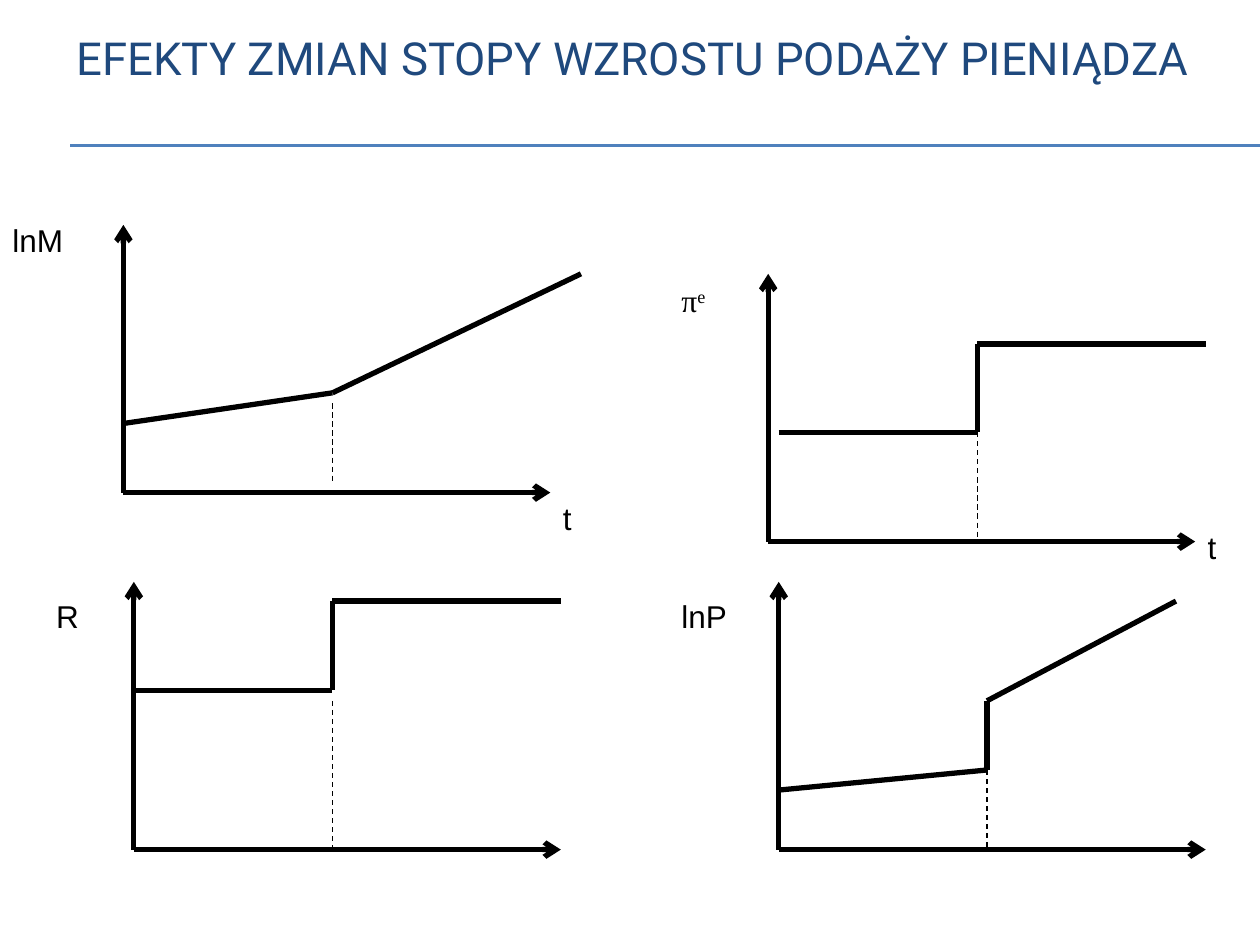
from dataclasses import dataclass
from itertools import pairwise

from lxml.etree import SubElement
from pptx import Presentation
from pptx.dml.color import RGBColor
from pptx.enum.dml import MSO_LINE
from pptx.enum.shapes import MSO_CONNECTOR
from pptx.enum.text import MSO_ANCHOR, PP_ALIGN
from pptx.oxml.ns import qn
from pptx.util import Pt


@dataclass(frozen=True)
class Theme:
    ink: RGBColor = RGBColor(0x00, 0x00, 0x00)
    title: RGBColor = RGBColor(0x1F, 0x49, 0x7D)
    rule: RGBColor = RGBColor(0x4F, 0x81, 0xBD)
    title_font: str = "Roboto"
    label_font: str = "Arial"
    symbol_font: str = "Times New Roman"
    title_size: float = 26
    label_size: float = 18
    thick: float = 3
    thin: float = 0.75


@dataclass(frozen=True)
class Panel:
    """One graph; all offsets are points from the top left of its axes."""
    left: float
    top: float
    label: str
    label_box: tuple
    curve: tuple
    guide: tuple  # x, upper end, lower end
    time_box: tuple = ()
    superscript: str = ""


THEME = Theme()
AXIS_WIDTH, AXIS_HEIGHT, LABEL_HEIGHT = 244, 153, 29

PANELS = (
    Panel(70.5, 128.5, "lnM", (-70.5, -6, 60),
          ((0, 113.5), (119.5, 96), (261.5, 28)),
          (119.5, 102, 147.5), time_box=(244, 153, 40)),
    Panel(439, 156.5, "π", (-56.7, 0.5, 51),
          ((6, 90.5), (119.5, 90.5), (119.5, 40), (250, 40)),
          (119.5, 90.5, AXIS_HEIGHT), time_box=(244, 141.5, 37), superscript="e"),
    Panel(76.5, 332.5, "R", (-51.5, 5, 34),
          ((0, 62), (113.5, 62), (113.5, 11), (AXIS_WIDTH, 11)),
          (113.5, 68, AXIS_HEIGHT)),
    Panel(445, 332.5, "lnP", (-62.7, 5, 51),
          ((0, 119), (119, 107.5), (119, 68), (227, 11)),
          (119, 107.5, AXIS_HEIGHT)),
)


def add_line(shapes, start, end, color=THEME.ink, width=THEME.thick,
             arrow=False, dashed=False):
    line = shapes.add_connector(MSO_CONNECTOR.STRAIGHT,
                                *(Pt(value) for value in (*start, *end)))
    line.line.color.rgb = color
    line.line.width = Pt(width)
    if dashed:
        line.line.dash_style = MSO_LINE.DASH
    if arrow:
        SubElement(line.line._get_or_add_ln(), qn("a:tailEnd"), type="arrow")
    SubElement(line._element.spPr, qn("a:effectLst"))


def add_text(shapes, text, box, font, size, color):
    """Add a wrapping text box and return its only paragraph."""
    frame = shapes.add_textbox(*(Pt(value) for value in box)).text_frame
    frame.word_wrap = True
    frame.text = text
    paragraph = frame.paragraphs[0]
    format_run(paragraph.runs[0], font, size, color)
    return paragraph, frame


def format_run(run, font, size, color):
    run.font.name = font
    run.font.size = Pt(size)
    run.font.color.rgb = color


def add_header(slide, left, top, width, height):
    for y in (82.8, 83.5):
        add_line(slide.shapes, (40.3, top + y), (720, top + y),
                 THEME.rule, THEME.thin)
    title, frame = add_text(slide.shapes, "EFEKTY ZMIAN STOPY WZROSTU PODAŻY PIENIĄDZA",
                            (left, top, width, height),
                            THEME.title_font, THEME.title_size, THEME.title)
    title.alignment = PP_ALIGN.CENTER
    frame.vertical_anchor = MSO_ANCHOR.MIDDLE


def add_panel(slide, panel):
    def at(x, y):
        return panel.left + x, panel.top + y

    def add_label(text, box, font):
        x, y, width = box
        paragraph, _ = add_text(slide.shapes, text, (*at(x, y), width, LABEL_HEIGHT),
                                font, THEME.label_size, THEME.ink)
        return paragraph

    axes = slide.shapes.add_group_shape().shapes
    for tip in ((0, 0), (AXIS_WIDTH, AXIS_HEIGHT)):
        add_line(axes, at(0, AXIS_HEIGHT), at(*tip), arrow=True)

    curve = slide.shapes.add_group_shape().shapes
    for start, end in pairwise(panel.curve):
        add_line(curve, at(*start), at(*end))

    x, upper, lower = panel.guide
    add_line(slide.shapes, at(x, upper), at(x, lower), width=THEME.thin, dashed=True)

    font = THEME.symbol_font if panel.superscript else THEME.label_font
    label = add_label(panel.label, panel.label_box, font)
    if panel.superscript:
        exponent = label.add_run()
        exponent.text = panel.superscript
        format_run(exponent, font, THEME.label_size, THEME.ink)
        exponent.font._element.set("baseline", "30000")
    if panel.time_box:
        add_label("t", panel.time_box, THEME.label_font)


def main():
    deck = Presentation()
    deck.slide_width, deck.slide_height = Pt(720), Pt(540)
    slide = deck.slides.add_slide(deck.slide_layouts[6])
    add_header(slide, 20, 0, 684, 66)
    for panel in PANELS:
        add_panel(slide, panel)
    deck.save("out.pptx")


if __name__ == "__main__":
    main()
